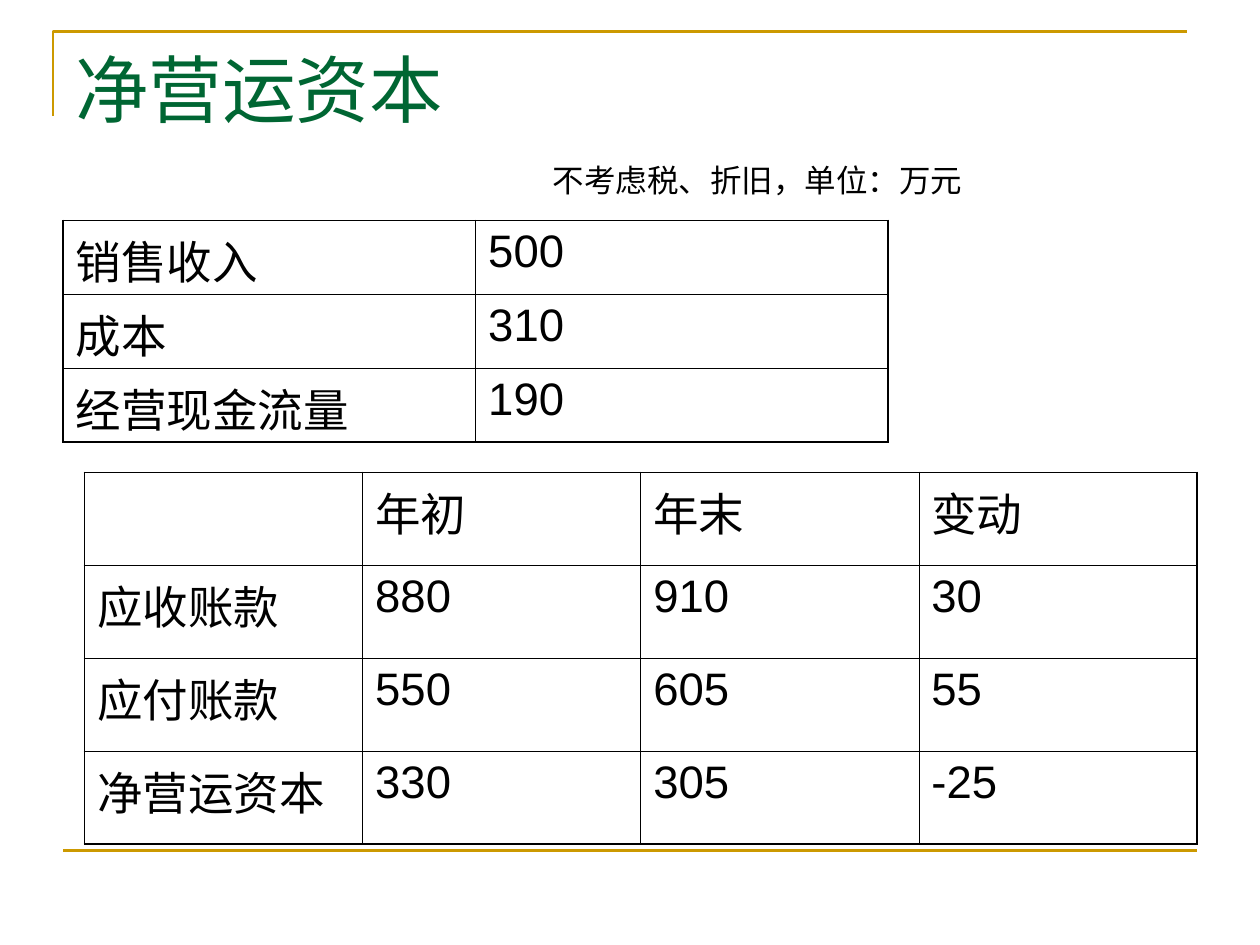
from lxml import etree
from pptx import Presentation
from pptx.dml.color import RGBColor
from pptx.enum.shapes import MSO_CONNECTOR
from pptx.enum.text import MSO_ANCHOR, MSO_AUTO_SIZE
from pptx.oxml.ns import qn
from pptx.util import Inches, Pt

STRAIGHT = MSO_CONNECTOR.STRAIGHT
TOP = MSO_ANCHOR.TOP
GROW = MSO_AUTO_SIZE.SHAPE_TO_FIT_TEXT

BLACK, GOLD, GREEN = "000000", "CC9900", "006633"
OUTER_BORDER, INNER_BORDER = 1.08, 0.45
CELL_FORMAT = {"name": "Arial", "size": Pt(26)}
NOTE_FORMAT = {"name": "Arial", "size": Pt(18)}
TITLE_FORMAT = {"name": "Times New Roman", "size": Pt(42)}

CASH_FLOW = [["销售收入", "500"], ["成本", "310"], ["经营现金流量", "190"]]
WORKING_CAPITAL = [
    ["", "年初", "年末", "变动"],
    ["应收账款", "880", "910", "30"],
    ["应付账款", "550", "605", "55"],
    ["净营运资本", "330", "305", "-25"],
]


def color(hex_string):
    return RGBColor.from_string(hex_string)


def style_line(line):
    line.color.rgb = color(GOLD)
    line.width = Pt(1.5)


def write(frame, text, font_format, hex_color):
    para = frame.paragraphs[0]
    span = para.add_run()
    span.text = text
    for name, value in font_format.items():
        setattr(span.font, name, value)
    span.font.color.rgb = color(hex_color)


def add_text(slide, place, text, font_format, hex_color):
    box = slide.shapes.add_textbox(*map(Inches, place))
    frame = box.text_frame
    frame.word_wrap = True
    frame.vertical_anchor = TOP
    write(frame, text, font_format, hex_color)
    return box


def add_corner_rule(slide):
    builder = slide.shapes.build_freeform(Inches(0.42), Inches(0.92))
    corner, end = (0.42, 0.25), (9.42, 0.25)
    builder.add_line_segments(
        [tuple(map(Inches, point)) for point in (corner, end)], close=False)
    rule = builder.convert_to_shape()
    rule.shadow.inherit = False
    rule.fill.background()
    style_line(rule.line)


def add_bottom_rule(slide):
    rule = slide.shapes.add_connector(
        STRAIGHT, Inches(0.5), Inches(6.75), Inches(9.5), Inches(6.75))
    style_line(rule.line)
    etree.SubElement(rule._element.spPr, qn("a:effectLst"))


def set_borders(cell, widths):
    """Draw black cell borders from a dict of side letter to width in points."""
    properties = cell._tc.get_or_add_tcPr()
    for side, width in widths.items():
        line = etree.SubElement(properties, qn(f"a:ln{side}"), w=str(Pt(width)))
        fill = etree.SubElement(line, qn("a:solidFill"))
        etree.SubElement(fill, qn("a:srgbClr"), val=BLACK)


def add_grid(slide, place, rows):
    """Add a table with equal rows and columns and a heavier outer frame."""
    row_count, column_count = len(rows), len(rows[0])
    table = slide.shapes.add_table(
        row_count, column_count, *map(Inches, place)).table
    table.first_row = table.horz_banding = False
    for r, row in enumerate(rows):
        for c, text in enumerate(row):
            cell = table.cell(r, c)
            on_edge = {"L": c == 0, "R": c == column_count - 1,
                       "T": r == 0, "B": r == row_count - 1}
            set_borders(cell, {
                side: OUTER_BORDER if edge else INNER_BORDER
                for side, edge in on_edge.items()})
            cell.fill.background()
            if text:
                write(cell.text_frame, text, CELL_FORMAT, BLACK)


def main():
    deck = Presentation()
    deck.slide_width, deck.slide_height = Inches(10), Inches(7.5)
    slide = deck.slides.add_slide(deck.slide_layouts[6])
    add_corner_rule(slide)
    add_bottom_rule(slide)
    add_text(slide, (0.5, 0.3, 9, 1.25), "净营运资本", TITLE_FORMAT, GREEN)
    add_grid(slide, (0.5, 1.75, 6.55, 1.76), CASH_FLOW)
    note = add_text(slide, (4.29, 1.23, 4.49, 0.4),
                    "不考虑税、折旧，单位：万元", NOTE_FORMAT, BLACK)
    note.text_frame.auto_size = GROW
    add_grid(slide, (0.67, 3.75, 8.83, 2.95), WORKING_CAPITAL)
    deck.save("out.pptx")


if __name__ == "__main__":
    main()
